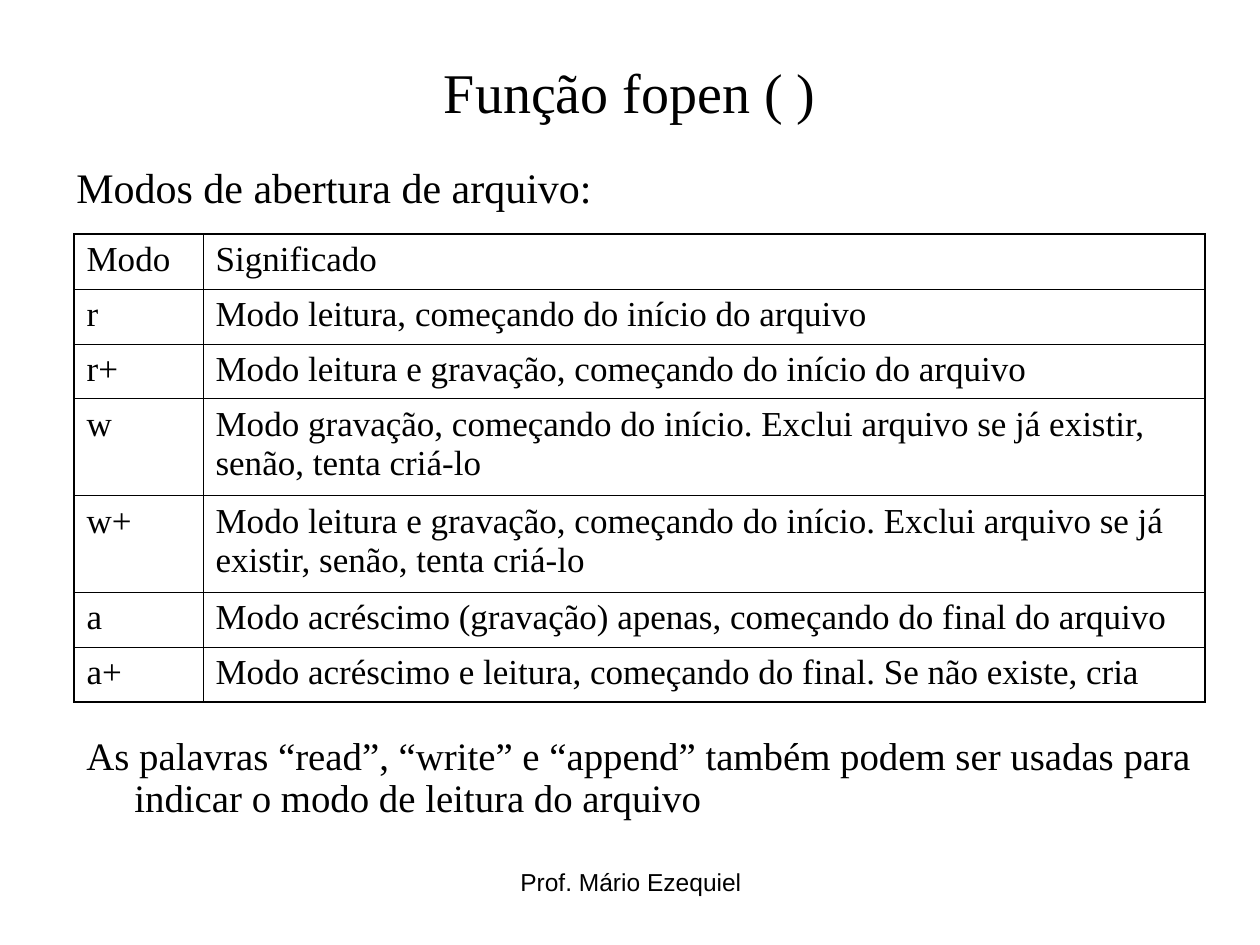
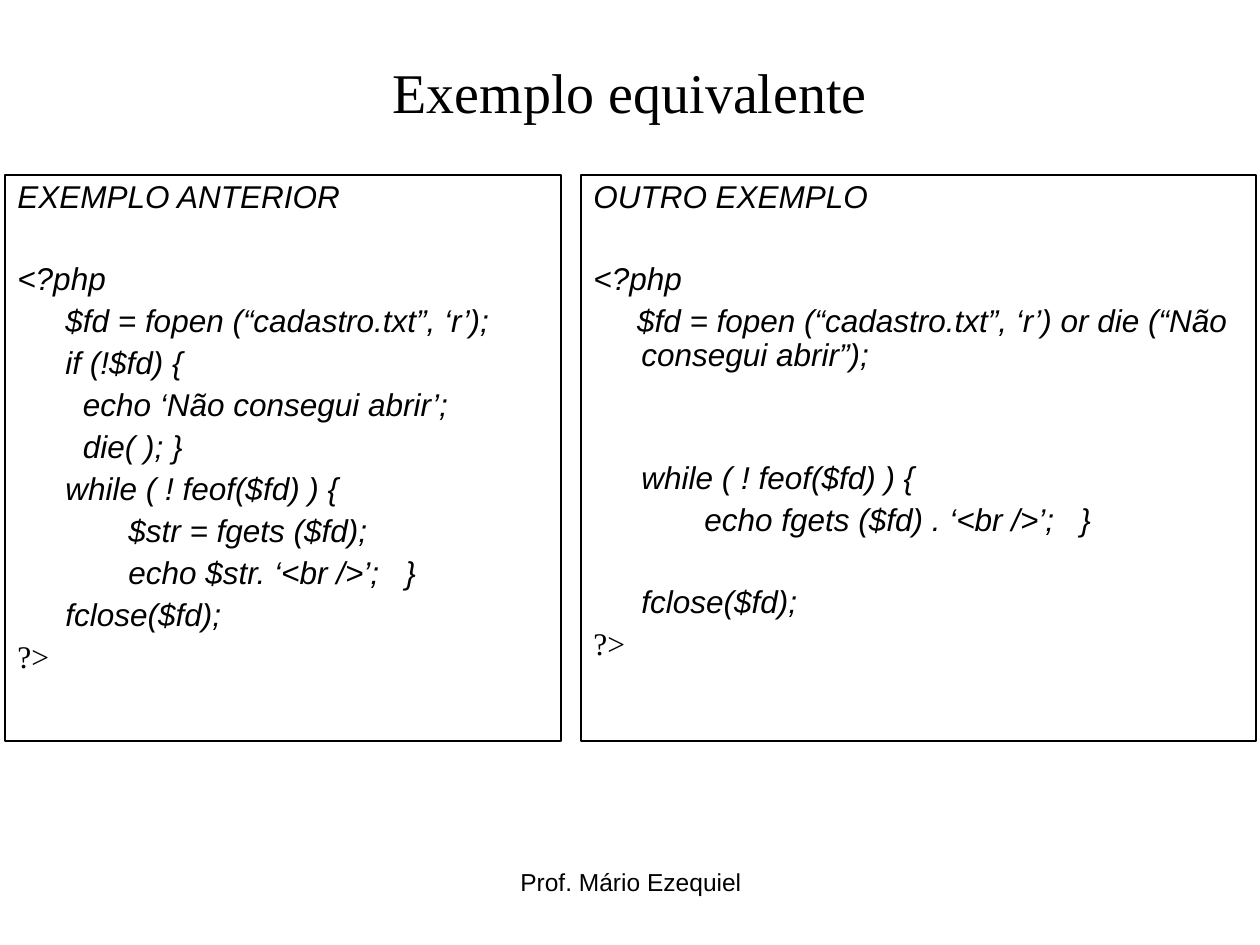
from lxml import etree
from pptx import Presentation
from pptx.dml.color import RGBColor
from pptx.enum.shapes import MSO_SHAPE
from pptx.enum.text import MSO_ANCHOR, MSO_AUTO_SIZE, PP_ALIGN
from pptx.oxml.ns import qn
from pptx.util import Emu, Pt

INK = "000000"
SERIF, SANS = "Times New Roman", "Arial"
TITLE_BOX = (63, 38, 1134, 107)
FOOTER_BOX = (431, 861, 400, 65)
HANGING = 48
TAB_STOP = 126
CODE_SIZE, CODE_GAP = 18, 4.5
CODE_LINE = CODE_SIZE * 1.15 * 0.9 + CODE_GAP

MODES = [
    ("Modo", "Significado"),
    ("r", "Modo leitura, começando do início do arquivo"),
    ("r+", "Modo leitura e gravação, começando do início do arquivo"),
    ("w", "Modo gravação, começando do início. Exclui arquivo se já existir, senão, tenta criá-lo"),
    ("w+", "Modo leitura e gravação, começando do início. Exclui arquivo se já existir, senão, tenta criá-lo"),
    ("a", "Modo acréscimo (gravação) apenas, começando do final do arquivo"),
    ("a+", "Modo acréscimo e leitura, começando do final. Se não existe, cria"),
]
MODE_COLUMNS = [129, 1002]
MODE_ROWS = [55, 55, 54, 97, 96, 55, 54]

# An empty string is a blank line of code
PREVIOUS_CODE = [
    "EXEMPLO ANTERIOR",
    "",
    "<?php",
    "\t$fd = fopen (“cadastro.txt”, ‘r’);",
    "\tif (!$fd) {",
    "\t  echo ‘Não consegui abrir’;",
    "\t  die( ); }",
    "\twhile ( ! feof($fd) ) {",
    "\t\t$str = fgets ($fd);",
    "\t\techo $str. ‘<br />’;   }",
    "\tfclose($fd);",
    "?>",
]
OTHER_CODE = [
    "OUTRO EXEMPLO",
    "",
    "<?php",
    "     $fd = fopen (“cadastro.txt”, ‘r’) or die (“Não consegui abrir”);",
    "",
    "",
    "\twhile ( ! feof($fd) ) {",
    "\t\techo fgets ($fd) . ‘<br />’;   }",
    "",
    "\tfclose($fd);",
    "?>",
]


def px(length):
    return Emu(round(length * 914400 / 126))


def color(value):
    return RGBColor.from_string(value)


def style(paragraph, font, size, italic=False):
    for run in paragraph.runs:
        run.font.name = font
        run.font.size = Pt(size)
        run.font.italic = italic
        run.font.color.rgb = color(INK)


def hang(paragraph):
    """Indent all lines but the first, with one tab stop after the indent."""
    properties = paragraph._p.get_or_add_pPr()
    properties.set("marL", str(px(HANGING)))
    properties.set("indent", str(-px(HANGING)))
    tabs = etree.SubElement(properties, qn("a:tabLst"))
    etree.SubElement(tabs, qn("a:tab"), pos=str(px(TAB_STOP)), algn="l")


def add_text(slide, box, text, font, size):
    frame = slide.shapes.add_textbox(*map(px, box)).text_frame
    frame.word_wrap = True
    paragraph = frame.paragraphs[0]
    paragraph.text = text
    style(paragraph, font, size)
    return paragraph


def add_titled_slide(deck, title):
    """Slide with the shared title and footer."""
    slide = deck.slides.add_slide(deck.slide_layouts[5])
    heading = slide.shapes.title
    heading.left, heading.top, heading.width, heading.height = map(px, TITLE_BOX)
    frame = heading.text_frame
    frame.text = title
    frame.auto_size = MSO_AUTO_SIZE.NONE
    frame.vertical_anchor = MSO_ANCHOR.MIDDLE
    frame.paragraphs[0].alignment = PP_ALIGN.CENTER
    style(frame.paragraphs[0], SERIF, 32)

    footer = add_text(slide, FOOTER_BOX, "Prof. Mário Ezequiel", SANS, 14)
    footer.alignment = PP_ALIGN.CENTER
    return slide


def set_border(cell, side, points):
    line = etree.SubElement(cell._tc.get_or_add_tcPr(), qn(f"a:ln{side}"), w=str(Pt(points)))
    fill = etree.SubElement(line, qn("a:solidFill"))
    etree.SubElement(fill, qn("a:srgbClr"), val=INK)


def add_modes_table(slide, left, top):
    last_row, last_column = len(MODES) - 1, len(MODE_COLUMNS) - 1
    box = (left, top, sum(MODE_COLUMNS), sum(MODE_ROWS))
    table = slide.shapes.add_table(len(MODES), len(MODE_COLUMNS), *map(px, box)).table
    table.first_row = table.horz_banding = False
    for column, width in zip(table.columns, MODE_COLUMNS):
        column.width = px(width)
    for r, (row, height) in enumerate(zip(table.rows, MODE_ROWS)):
        row.height = px(height)
        for c, cell in enumerate(row.cells):
            cell.text = MODES[r][c]
            style(cell.text_frame.paragraphs[0], SERIF, 20)
            # Outer edges are heavier than inner ones
            outer = {"L": c == 0, "R": c == last_column, "T": r == 0, "B": r == last_row}
            for side, is_outer in outer.items():
                set_border(cell, side, 1.08 if is_outer else 0.45)
            cell.fill.background()


def add_code_panel(slide, box, lines):
    panel = slide.shapes.add_shape(MSO_SHAPE.RECTANGLE, *map(px, box))
    panel.shadow.inherit = False
    panel.fill.background()
    panel.line.color.rgb = color(INK)
    panel.line.width = Pt(0.75)
    frame = panel.text_frame
    frame.word_wrap = True
    frame.vertical_anchor = MSO_ANCHOR.TOP

    blanks = 0
    for number, line in enumerate(lines):
        if not line:
            blanks += 1
            continue
        paragraph = frame.add_paragraph() if number else frame.paragraphs[0]
        paragraph.text = line
        hang(paragraph)
        paragraph.alignment = PP_ALIGN.LEFT
        paragraph.line_spacing = 0.9
        if number:
            paragraph.space_before = Pt(CODE_GAP + blanks * CODE_LINE)
        blanks = 0
        closing = line == "?>"
        style(paragraph, SERIF if closing else SANS, CODE_SIZE, italic=not closing)


def build_modes_slide(deck):
    slide = add_titled_slide(deck, "Função fopen ( )")
    add_text(slide, (64, 155, 1134, 69), "Modos de abertura de arquivo:", SERIF, 24)
    add_modes_table(slide, 74, 234)
    note = add_text(
        slide, (74, 731, 1134, 110),
        "As palavras “read”, “write” e “append” também podem ser usadas para "
        "indicar o modo de leitura do arquivo", SERIF, 22.2)
    hang(note)
    note.line_spacing = 0.9


def build_comparison_slide(deck):
    slide = add_titled_slide(deck, "Exemplo equivalente")
    add_code_panel(slide, (5, 175, 556, 566), PREVIOUS_CODE)
    add_code_panel(slide, (581, 175, 675, 566), OTHER_CODE)


def main():
    deck = Presentation()
    deck.slide_width, deck.slide_height = px(1260), px(945)
    build_modes_slide(deck)
    build_comparison_slide(deck)
    deck.save("out.pptx")


if __name__ == "__main__":
    main()
